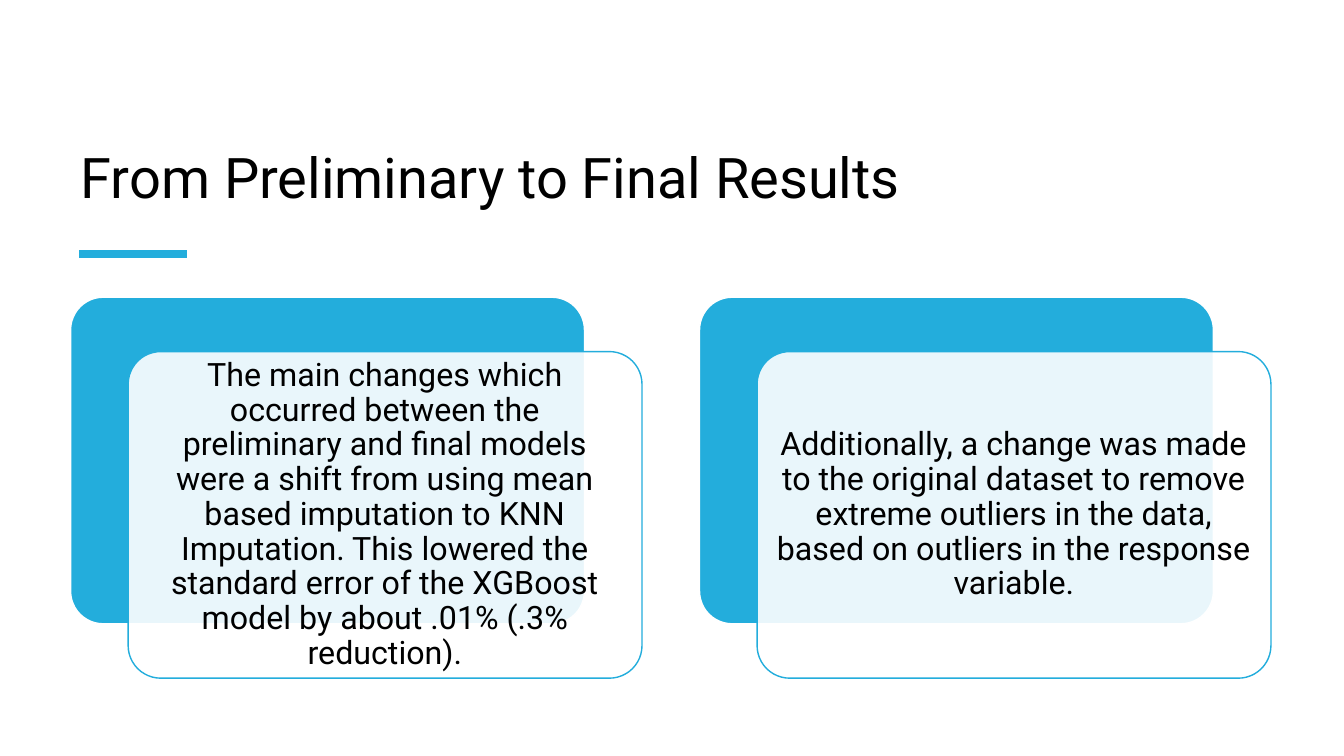
from lxml import etree
from pptx import Presentation
from pptx import util as u
from pptx.dml.color import RGBColor
from pptx.enum import shapes, text
from pptx.oxml.ns import qn

Cm, Pt = u.Cm, u.Pt
FONT = "Roboto"
COLORS = {"accent": "23ADDC", "white": "FFFFFF", "text": "000000"}
LEFT, CARD_TOP, CARD_PITCH = 1.78, 7.49, 15.85
CARD_W, CARD_H = 12.95, 8.23
SHIFT_X, SHIFT_Y = 1.45, 1.37
CARDS = [
    "The main changes which occurred between the preliminary and final models "
    "were a shift from using mean based imputation to KNN Imputation. This lowered "
    "the standard error of the XGBoost model by about .01% (.3% reduction).",
    "Additionally, a change was made to the original dataset to remove extreme "
    "outliers in the data, based on outliers in the response variable.",
]


def color(name):
    return RGBColor.from_string(COLORS[name])


def write(tf, content, size, align):
    tf.word_wrap = True
    p = tf.paragraphs[0]
    p.alignment = align
    p.line_spacing = 0.9
    r = p.add_run()
    r.text = content
    r.font.name = FONT
    r.font.size = Pt(size)
    r.font.color.rgb = color("text")


def add_title(s, content):
    sp = s.shapes.title
    sp.left, sp.top, sp.width, sp.height = Cm(LEFT), Cm(1.57), Cm(30.25), Cm(3.86)
    tf = sp.text_frame
    tf.auto_size = text.MSO_AUTO_SIZE.NONE
    tf.vertical_anchor = text.MSO_ANCHOR.BOTTOM
    write(tf, content, 40, text.PP_ALIGN.LEFT)


def add_accent_line(s):
    line = s.shapes.add_connector(
        shapes.MSO_CONNECTOR.STRAIGHT, Cm(2), Cm(6.4), Cm(4.7), Cm(6.4))
    line.line.color.rgb = color("accent")
    line.line.width = Pt(6)
    etree.SubElement(line._element.spPr, qn("a:effectLst"))


def add_panel(s, x, y, fill, line):
    sp = s.shapes.add_shape(shapes.MSO_SHAPE.ROUNDED_RECTANGLE,
                            Cm(x), Cm(y), Cm(CARD_W), Cm(CARD_H))
    sp.adjustments[0] = 0.1
    sp.shadow.inherit = False
    sp.fill.solid()
    sp.fill.fore_color.rgb = color(fill)
    sp.line.color.rgb = color(line)
    sp.line.width = Pt(1)
    return sp


def set_opacity(sp, percent):
    rgb = sp._element.spPr.find(qn("a:solidFill")).find(qn("a:srgbClr"))
    etree.SubElement(rgb, qn("a:alpha"), val=str(percent * 1000))


def add_card(s, x, content):
    """Add a solid panel with a translucent text panel shifted over it."""
    add_panel(s, x, CARD_TOP, "accent", "white")
    front = add_panel(s, x + SHIFT_X, CARD_TOP + SHIFT_Y, "white", "accent")
    set_opacity(front, 90)
    tf = front.text_frame
    tf.margin_left = tf.margin_right = tf.margin_top = tf.margin_bottom = Cm(0.25)
    tf.vertical_anchor = text.MSO_ANCHOR.MIDDLE
    write(tf, content, 23, text.PP_ALIGN.CENTER)


def main():
    prs = Presentation()
    prs.slide_width, prs.slide_height = Cm(33.87), Cm(19.05)
    s = prs.slides.add_slide(prs.slide_layouts[5])
    add_title(s, "From Preliminary to Final Results")
    add_accent_line(s)
    for i, content in enumerate(CARDS):
        add_card(s, LEFT + i * CARD_PITCH, content)
    prs.save("out.pptx")


if __name__ == "__main__":
    main()
